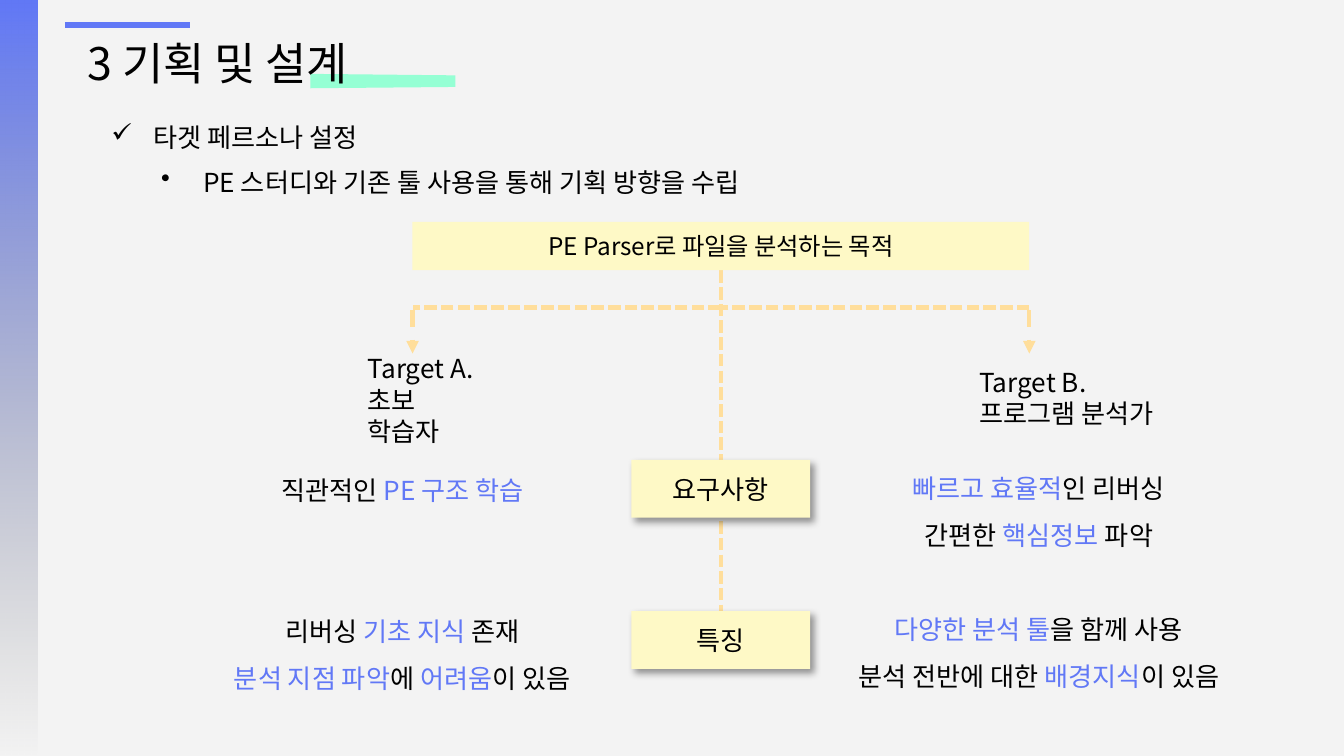
import dataclasses
import typing

import lxml.etree
import pptx
import pptx.dml.color
import pptx.enum.dml
import pptx.enum.shapes
import pptx.enum.text
import pptx.oxml
import pptx.oxml.ns
import pptx.util

Pt = pptx.util.Pt
qn = pptx.oxml.ns.qn
Align = pptx.enum.text.PP_ALIGN
Anchor = pptx.enum.text.MSO_ANCHOR
Dash = pptx.enum.dml.MSO_LINE
NS = 'xmlns:a="http://schemas.openxmlformats.org/drawingml/2006/main"'


@dataclasses.dataclass(frozen=True)
class Theme:
    font: str = "Noto Sans CJK KR"
    paper: str = "F3F3F3"
    ink: str = "000000"
    accent: str = "6178F6"
    fade: str = "737373"
    card: str = "FEF9C6"
    link: str = "FFDE9B"
    marker: str = "95FFD4"
    title: float = 24
    body: float = 14
    banner: float = 13


T = Theme()


class Box(typing.NamedTuple):
    x: float
    y: float
    w: float
    h: float


class Run(typing.NamedTuple):
    text: str
    color: str = T.ink


@dataclasses.dataclass(frozen=True)
class Para:
    runs: typing.Sequence[Run]
    align: typing.Any = Align.LEFT
    margin: float = 0
    hang: float = 0
    spacing: float = 1
    before: float = 0
    bullet: str = ""
    level: int = 0


@dataclasses.dataclass(frozen=True)
class Card:
    box: Box
    text: str
    size: float
    shadow: bool


@dataclasses.dataclass(frozen=True)
class Line:
    x1: float
    y1: float
    x2: float
    y2: float
    color: str = T.link
    width: float = 2.25
    dash: typing.Any = Dash.SQUARE_DOT
    arrow: bool = False


def rgb(value: str) -> pptx.dml.color.RGBColor:
    return pptx.dml.color.RGBColor.from_string(value)


def fill_text(tf, paras: typing.Sequence[Para], size: float) -> None:
    tf.word_wrap = True
    for i, para in enumerate(paras):
        p = tf.add_paragraph() if i else tf.paragraphs[0]
        p.alignment, p.level, p.line_spacing = para.align, para.level, para.spacing
        if para.before:
            p.space_before = Pt(para.before)
        pPr = p._p.get_or_add_pPr()
        pPr.set("marL", str(Pt(para.margin)))
        pPr.set("indent", str(Pt(-para.hang)))
        if para.bullet:
            color = lxml.etree.SubElement(pPr, qn("a:buClr"))
            lxml.etree.SubElement(color, qn("a:srgbClr"), val=T.ink)
            lxml.etree.SubElement(pPr, qn("a:buChar"), char=para.bullet)
        for run in para.runs:
            r = p.add_run()
            r.text = run.text
            r.font.size, r.font.name = Pt(size), T.font
            r.font.color.rgb = rgb(run.color)
            lxml.etree.SubElement(r._r.get_or_add_rPr(), qn("a:ea"), typeface=T.font)


def add_text(s, box: Box, paras: typing.Sequence[Para], size: float = T.body, grow: bool = False) -> None:
    tf = s.shapes.add_textbox(*map(Pt, box)).text_frame
    fill_text(tf, paras, size)
    if grow:
        tf.auto_size = pptx.enum.text.MSO_AUTO_SIZE.SHAPE_TO_FIT_TEXT
    else:
        tf.vertical_anchor = Anchor.MIDDLE
        tf.margin_top = tf.margin_bottom = Pt(7.2)


def add_rect(s, box: Box, color: str):
    sp = s.shapes.add_shape(pptx.enum.shapes.MSO_SHAPE.RECTANGLE, *map(Pt, box))
    sp.shadow.inherit = False
    sp.fill.solid()
    sp.fill.fore_color.rgb = rgb(color)
    sp.line.fill.background()
    return sp


def add_card(s, card: Card) -> None:
    sp = add_rect(s, card.box, T.card)
    sp.text_frame.vertical_anchor = Anchor.MIDDLE
    fill_text(sp.text_frame, [Para([Run(card.text)], Align.CENTER)], card.size)
    if card.shadow:
        sp._element.spPr.find(qn("a:effectLst")).append(pptx.oxml.parse_xml(
            f'<a:outerShdw {NS} blurRad="{Pt(4)}" dist="{Pt(3)}" dir="2700000" algn="tl" rotWithShape="0">'
            f'<a:srgbClr val="{T.ink}"><a:alpha val="40000"/></a:srgbClr></a:outerShdw>'))


def add_line(s, line: Line) -> None:
    sp = s.shapes.add_connector(pptx.enum.shapes.MSO_CONNECTOR.STRAIGHT,
                                *map(Pt, (line.x1, line.y1, line.x2, line.y2)))
    sp.line.color.rgb = rgb(line.color)
    sp.line.width = Pt(line.width)
    sp.line.dash_style = line.dash
    if line.arrow:
        lxml.etree.SubElement(sp.line._get_or_add_ln(), qn("a:tailEnd"), type="triangle")
    lxml.etree.SubElement(sp._element.spPr, qn("a:effectLst"))


def add_side_bar(s) -> None:
    sp = add_rect(s, Box(0, 0, 20.25, 405), T.accent)
    old = sp._element.spPr.find(qn("a:solidFill"))
    old.getparent().replace(old, pptx.oxml.parse_xml(
        f'<a:gradFill {NS}><a:gsLst><a:gs pos="0"><a:srgbClr val="{T.accent}"/></a:gs>'
        f'<a:gs pos="100000"><a:srgbClr val="{T.fade}"><a:alpha val="0"/></a:srgbClr></a:gs>'
        f'</a:gsLst><a:lin ang="5400000" scaled="0"/></a:gradFill>'))


def add_marker(s) -> None:
    fb = s.shapes.build_freeform(Pt(166.3), Pt(39.6))
    fb.add_line_segments([(Pt(x), Pt(y)) for x, y in ((166.3, 47.3), (244, 46.6), (244, 40.4))])
    sp = fb.convert_to_shape()
    sp.shadow.inherit = False
    sp.fill.solid()
    sp.fill.fore_color.rgb = rgb(T.marker)
    sp.line.fill.background()


def detail(*runs: Run, before: float = 0) -> Para:
    return Para(runs, Align.CENTER, margin=8.6, spacing=1.5, before=before)


def target(text: str) -> Para:
    return Para([Run(text)], margin=8.6)


LEFT, RIGHT, MID = 221, 551.4, 386.2
BANNER_TOP, BANNER_H, BRANCH_Y = 118.8, 26, 164.7
CARD_W, CARD_H = 95.8, 31

CARDS = [Card(Box(LEFT, BANNER_TOP, RIGHT - LEFT, BANNER_H), "PE Parser로 파일을 분석하는 목적", T.banner, False)]
CARDS += [Card(Box(MID - CARD_W / 2, y, CARD_W, CARD_H), text, T.body, True)
          for y, text in ((246.4, "요구사항"), (327.4, "특징"))]
LINES = [Line(MID, BANNER_TOP + BANNER_H, MID, 358.4), Line(MID, BRANCH_Y, LEFT, BRANCH_Y),
         Line(RIGHT, BRANCH_Y, MID, BRANCH_Y)]
LINES += [Line(x, 166.3, x, 189.4, dash=Dash.DASH, arrow=True) for x in (LEFT, RIGHT)]

BEGINNER = [
    detail(Run("직관적인 "), Run("PE 구조 학습", T.accent)),
    detail(Run("리버싱 "), Run("기초 지식 ", T.accent), Run("존재"), before=50.4),
    detail(Run("분석 지점 파악", T.accent), Run("에 "), Run("어려움", T.accent), Run("이 있음")),
]
ANALYST = [
    detail(Run("빠르고 효율적", T.accent), Run("인 리버싱")),
    detail(Run("간편한 "), Run("핵심정보", T.accent), Run(" 파악")),
    detail(Run("다양한 분석 툴", T.accent), Run("을 함께 사용"), before=25.2),
    detail(Run("분석 전반에 대한 "), Run("배경지식", T.accent), Run("이 있음")),
]


def main() -> None:
    prs = pptx.Presentation()
    prs.slide_width, prs.slide_height = Pt(720), Pt(405)
    s = prs.slides.add_slide(prs.slide_layouts[6])
    s.background.fill.solid()
    s.background.fill.fore_color.rgb = rgb(T.paper)
    add_line(s, Line(34.7, 13.4, 102, 13.4, T.accent, 3, Dash.SOLID))
    add_side_bar(s)
    add_text(s, Box(52.6, 53.3, 307.4, 30.2),
             [Para([Run("타겟 페르소나 설정")], margin=22.5, hang=22.5, spacing=1.5, bullet="✓")], grow=True)
    add_text(s, Box(94.3, 266.4, 234, 84.2), BEGINNER)
    add_text(s, Box(181.4, 205.2, 89.3, 18), [target("Target A. 초보 학습자")])
    add_text(s, Box(509, 207.4, 146.2, 11.5), [target("Target B."), target("프로그램 분석가")])
    add_text(s, Box(418.3, 265.7, 267.8, 84.2), ANALYST)
    for line in LINES:
        add_line(s, line)
    for card in CARDS:
        add_card(s, card)
    add_marker(s)
    add_text(s, Box(39.6, 10.1, 350.6, 46.8), [Para([Run("3 기획 및 설계")])], T.title)
    add_text(s, Box(-28.8, 77, 907.9, 30.2),
             [Para([Run("PE 스터디와 기존 툴 사용을 통해 기획 방향을 수립")], Align.JUSTIFY, margin=130.5,
                   hang=22.5, spacing=1.5, bullet="•", level=3)], grow=True)
    prs.save("out.pptx")


if __name__ == "__main__":
    main()
